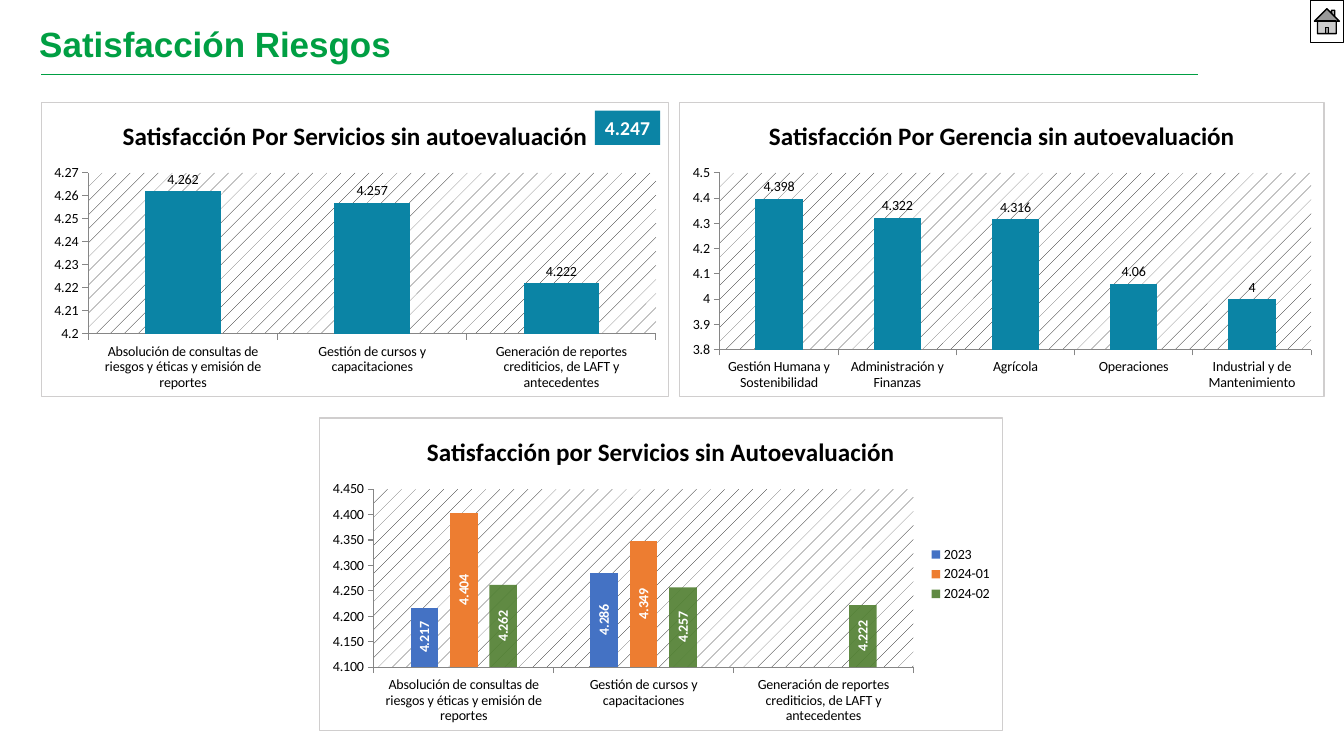
from pptx import Presentation
from pptx.chart.data import CategoryChartData
from pptx.dml.color import RGBColor
from pptx.enum.chart import XL_CHART_TYPE as ChartType
from pptx.enum.chart import XL_LABEL_POSITION as LabelPos
from pptx.enum.chart import XL_LEGEND_POSITION as LegendPos
from pptx.enum.chart import XL_TICK_MARK as Tick
from pptx.enum.shapes import MSO_CONNECTOR as Connector
from pptx.enum.shapes import MSO_SHAPE as Shape
from pptx.enum.text import MSO_ANCHOR as Anchor
from pptx.enum.text import MSO_AUTO_SIZE as AutoSize
from pptx.enum.text import PP_ALIGN as Align
from pptx.oxml import parse_xml
from pptx.oxml.ns import nsdecls, qn
from pptx.util import Cm, Pt

GREEN = RGBColor(0x00, 0x9F, 0x43)
TEAL = RGBColor(0x0B, 0x84, 0xA5)
BLUE = RGBColor(0x44, 0x72, 0xC4)
ORANGE = RGBColor(0xED, 0x7D, 0x31)
OLIVE = RGBColor(0x54, 0x82, 0x35)
GREY = RGBColor(0x86, 0x86, 0x86)
FRAME_GREY = RGBColor(0xD0, 0xCE, 0xCE)
BLACK = RGBColor(0x00, 0x00, 0x00)
WHITE = RGBColor(0xFF, 0xFF, 0xFF)

SERVICES = [
    "Absolución de consultas de riesgos y éticas y emisión de reportes",
    "Gestión de cursos y capacitaciones",
    "Generación de reportes crediticios, de LAFT y antecedentes",
]
DEPARTMENTS = [
    "Gestión Humana y Sostenibilidad",
    "Administración y Finanzas",
    "Agrícola",
    "Operaciones",
    "Industrial y de Mantenimiento",
]


def apply_format(target, values):
    for name, value in values.items():
        setattr(target, name, value)


def format_font(font, size, color, bold=False, name="Calibri"):
    apply_format(font, {"size": Pt(size), "bold": bold, "name": name})
    font.color.rgb = color


def add_heading(slide, text):
    frame = slide.shapes.add_textbox(Cm(0.74), Cm(0.61), Cm(29.44), Cm(1.12)).text_frame
    apply_format(frame, {"word_wrap": True, "vertical_anchor": Anchor.MIDDLE})
    paragraph = frame.paragraphs[0]
    paragraph.line_spacing = 0.9
    run = paragraph.add_run()
    run.text = text
    format_font(run.font, 25, GREEN, True, "Arial")


def add_heading_rule(slide):
    rule = slide.shapes.add_connector(
        Connector.STRAIGHT, Cm(1.04), Cm(1.88), Cm(30.2), Cm(1.88))
    rule.line.color.rgb = GREEN
    rule.line.width = Pt(0.5)
    rule.element.spPr.append(parse_xml(f"<a:effectLst {nsdecls('a')}/>"))


def add_plain_shape(slide, preset, box, fill):
    shape = slide.shapes.add_shape(preset, *map(Cm, box))
    shape.shadow.inherit = False
    shape.fill.solid()
    shape.fill.fore_color.rgb = fill
    return shape


def add_home_button(slide):
    button = add_plain_shape(slide, Shape.ACTION_BUTTON_HOME, (33.02, 0, 0.84, 1.07), WHITE)
    button.line.color.rgb = BLACK
    button.line.width = Pt(1)


def add_score_badge(slide, score):
    badge = add_plain_shape(slide, Shape.RECTANGLE, (14.99, 2.79, 1.65, 0.86), TEAL)
    badge.line.fill.background()
    frame = badge.text_frame
    apply_format(frame, {"word_wrap": False, "auto_size": AutoSize.SHAPE_TO_FIT_TEXT})
    paragraph = frame.paragraphs[0]
    paragraph.alignment = Align.CENTER
    run = paragraph.add_run()
    run.text = score
    format_font(run.font, 14, WHITE, True)


def style_areas(chart):
    """Frame the chart and hatch its plot area."""
    chart_root = chart.element.find(qn("c:chart"))
    chart_root.addnext(parse_xml(
        f"<c:spPr {nsdecls('c', 'a')}><a:solidFill><a:srgbClr val='{WHITE}'/></a:solidFill>"
        f"<a:ln w='{Pt(0.75)}'><a:solidFill><a:srgbClr val='{FRAME_GREY}'/></a:solidFill>"
        "</a:ln></c:spPr>"))
    chart_root.find(qn("c:plotArea")).append(parse_xml(
        f"<c:spPr {nsdecls('c', 'a')}><a:pattFill prst='pct5'>"
        f"<a:fgClr><a:srgbClr val='{BLACK}'/></a:fgClr>"
        f"<a:bgClr><a:srgbClr val='{WHITE}'/></a:bgClr></a:pattFill></c:spPr>"))


def style_axes(chart, scale, number_format):
    low, high, step = scale
    for axis in (chart.category_axis, chart.value_axis):
        apply_format(axis, {"has_major_gridlines": False,
                            "major_tick_mark": Tick.OUTSIDE,
                            "minor_tick_mark": Tick.NONE})
        axis.format.line.color.rgb = GREY
        axis.format.line.width = Pt(0.75)
    apply_format(chart.value_axis, {"minimum_scale": low, "maximum_scale": high,
                                    "major_unit": step})
    apply_format(chart.value_axis.tick_labels, {"number_format": number_format,
                                                "number_format_is_linked": False})


def add_column_chart(slide, box, title, categories, series, scale, gap=150, overlap=0,
                     number_format="General", label_position=LabelPos.OUTSIDE_END,
                     label_color=BLACK, label_bold=False):
    """Series holds (name, values, color) rows; scale is (low, high, step)."""
    data = CategoryChartData()
    data.categories = categories
    for name, values, _ in series:
        data.add_series(name, values)
    chart = slide.shapes.add_chart(ChartType.COLUMN_CLUSTERED, *map(Cm, box), data).chart
    format_font(chart.font, 10, BLACK)
    apply_format(chart, {"has_title": True, "has_legend": False})
    title_frame = chart.chart_title.text_frame
    title_frame.text = title
    format_font(title_frame.paragraphs[0].runs[0].font, 18, BLACK, True)

    plot = chart.plots[0]
    apply_format(plot, {"gap_width": gap, "overlap": overlap, "vary_by_categories": False})
    for columns, (_, _, color) in zip(plot.series, series):
        columns.invert_if_negative = False
        columns.format.fill.solid()
        columns.format.fill.fore_color.rgb = color
        labels = columns.data_labels
        apply_format(labels, {"show_value": True, "position": label_position,
                              "number_format": number_format,
                              "number_format_is_linked": False})
        format_font(labels.font, 10, label_color, label_bold)
    style_axes(chart, scale, number_format)
    style_areas(chart)
    return chart


def add_period_chart(slide):
    """Compare the periods, with upright labels inside the columns."""
    chart = add_column_chart(
        slide, (8.03, 10.52, 17.25, 7.9), "Satisfacción por Servicios sin Autoevaluación",
        SERVICES,
        [("2023", (4.217, 4.286, None), BLUE),
         ("2024-01", (4.404, 4.349, None), ORANGE),
         ("2024-02", (4.262, 4.257, 4.222), OLIVE)],
        (4.1, 4.45, 0.05), gap=267, overlap=-43, number_format="0.000",
        label_position=LabelPos.CENTER, label_color=WHITE, label_bold=True)
    chart.has_legend = True
    apply_format(chart.legend, {"position": LegendPos.RIGHT, "include_in_layout": False})
    for labels in chart.element.iter(qn("c:dLbls")):
        for body in labels.iter(qn("a:bodyPr")):
            body.set("rot", "-5400000")
            body.set("vert", "horz")
    for color in chart.element.iter(qn("a:srgbClr")):
        if color.get("val") == str(OLIVE):
            color.append(parse_xml(f"<a:alpha {nsdecls('a')} val='93000'/>"))


def main():
    deck = Presentation()
    apply_format(deck, {"slide_width": Cm(33.87), "slide_height": Cm(19.05)})
    slide = deck.slides.add_slide(deck.slide_layouts[6])

    add_column_chart(
        slide, (1.04, 2.57, 15.82, 7.44), "Satisfacción Por Servicios sin autoevaluación",
        SERVICES, [("Series 1", (4.262, 4.257, 4.222), TEAL)], (4.2, 4.27, 0.01))
    add_heading_rule(slide)
    add_heading(slide, "Satisfacción Riesgos")
    add_home_button(slide)
    add_score_badge(slide, "4.247")
    add_column_chart(
        slide, (17.12, 2.57, 16.26, 7.44), "Satisfacción Por Gerencia sin autoevaluación",
        DEPARTMENTS, [("Series 1", (4.398, 4.322, 4.316, 4.06, 4), TEAL)], (3.8, 4.5, 0.1))
    add_period_chart(slide)

    deck.save("out.pptx")


if __name__ == "__main__":
    main()
